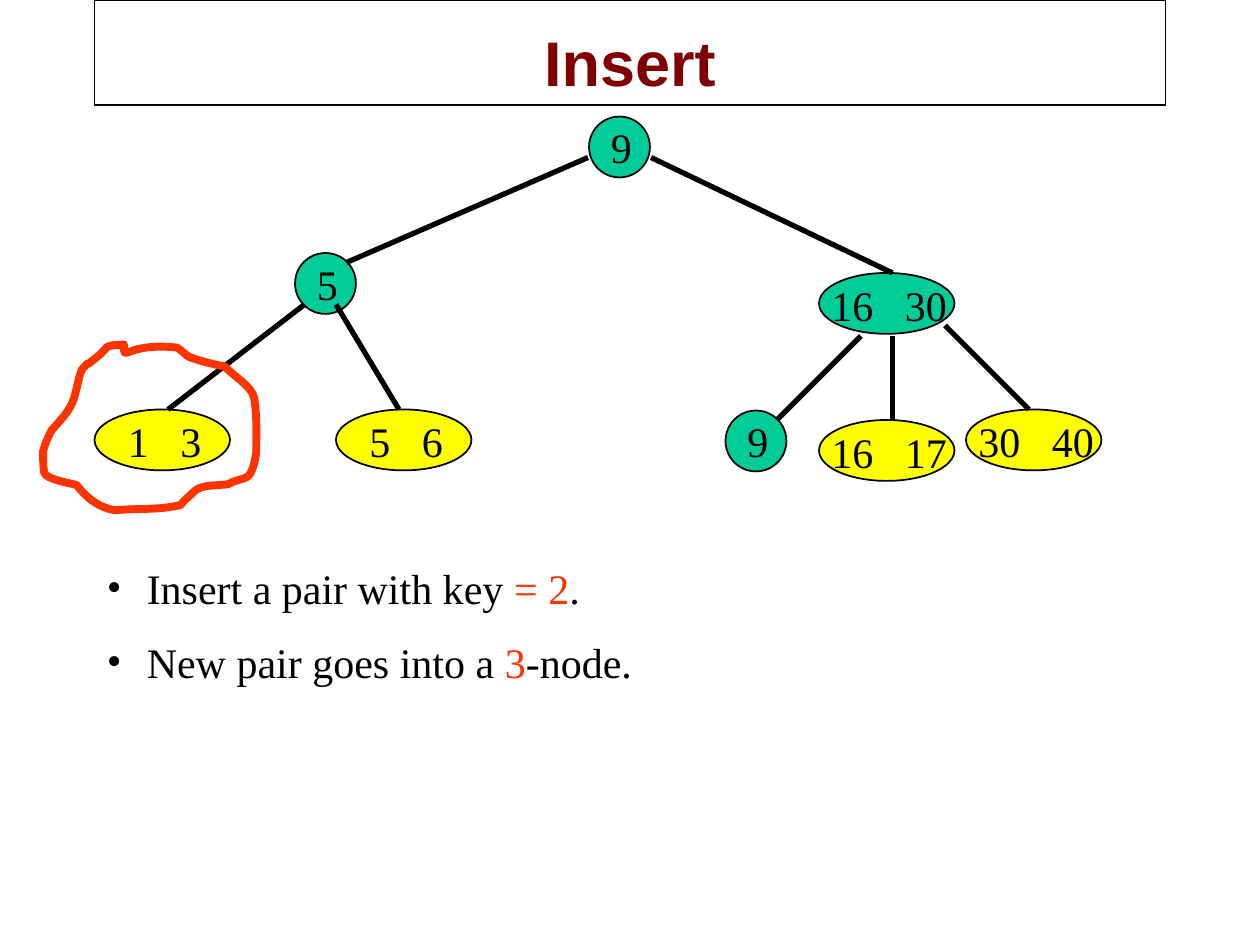
from dataclasses import dataclass

from lxml import etree
from pptx import Presentation
from pptx.dml.color import RGBColor
from pptx.enum.shapes import MSO_CONNECTOR, MSO_SHAPE
from pptx.enum.text import MSO_ANCHOR, PP_ALIGN
from pptx.oxml.ns import qn
from pptx.util import Emu, Pt

RECT, OVAL = MSO_SHAPE.RECTANGLE, MSO_SHAPE.OVAL
STRAIGHT = MSO_CONNECTOR.STRAIGHT
BOTTOM, TOP, CENTER = MSO_ANCHOR.BOTTOM, MSO_ANCHOR.TOP, PP_ALIGN.CENTER
PX = 7620  # EMU per px, 120 px to the inch


@dataclass(frozen=True)
class Theme:
    black: str = "000000"
    title: str = "800000"
    accent: str = "FF3300"
    green: str = "00CC99"
    yellow: str = "FFFF00"
    title_font: str = "Arial"
    body_font: str = "Times New Roman"
    title_size: int = 36
    body_size: int = 24


@dataclass(frozen=True)
class Node:
    x: int
    y: int
    keys: tuple[str, ...]
    fill: str


@dataclass(frozen=True)
class Edge:
    x1: int
    y1: int
    x2: int
    y2: int


T = Theme()
NODE_H = 58
NODE_W = {1: 58, 2: 129}  # by number of keys
LABEL_BOX = {1: (9, -1, 50), 2: (20, 0, 100), 4: (0, 0, 180)}  # dx, dy, width by digits

NODES = [
    Node(561, 111, ("9",), T.green),
    Node(281, 241, ("5",), T.green),
    Node(780, 260, ("16", "30"), T.green),
    Node(90, 390, ("1", "3"), T.yellow),
    Node(320, 390, ("5", "6"), T.yellow),
    Node(691, 391, ("9",), T.green),
    Node(780, 400, ("16", "17"), T.yellow),
    Node(920, 390, ("30", "40"), T.yellow),
]
EDGES = [
    Edge(560, 150, 330, 250), Edge(620, 150, 850, 260),
    Edge(290, 290, 160, 390), Edge(320, 290, 380, 390),
    Edge(820, 320, 740, 400), Edge(850, 320, 850, 400),
    Edge(900, 310, 980, 390),
]
BULLETS = [
    [("Insert a pair with key ", T.black), ("= 2", T.accent), (".", T.black)],
    [("New pair goes into a ", T.black), ("3", T.accent), ("-node.", T.black)],
]
# Hand-drawn loop: start, then two control points and an end per curve
LOOP_START = (118, 328)
LOOP = [
    ((113, 329), (108, 328), (103, 330)), ((101, 331), (98, 335), (96, 337)),
    ((71, 358), (92, 337), (78, 352)), ((73, 364), (73, 378), (66, 389)),
    ((62, 396), (55, 403), (49, 410)), ((46, 416), (43, 422), (41, 430)),
    ((41, 436), (41, 443), (42, 450)), ((44, 457), (67, 460), (73, 462)),
    ((83, 475), (95, 484), (110, 486)), ((131, 484), (152, 486), (172, 481)),
    ((176, 476), (180, 473), (185, 468)), ((192, 461), (208, 463), (218, 461)),
    ((223, 457), (232, 457), (236, 454)), ((242, 449), (244, 431), (244, 431)),
    ((244, 414), (245, 396), (242, 379)), ((240, 368), (222, 358), (214, 349)),
    ((203, 347), (191, 344), (180, 340)), ((179, 340), (170, 331), (168, 331)),
    ((118, 326), (118, 347), (118, 328)),
]


def px(*values: int) -> list[Emu]:
    return [Emu(v * PX) for v in values]


def rgb(color: str) -> RGBColor:
    return RGBColor.from_string(color)


def style_shape(sp, fill: str | None, line: str, width: float) -> None:
    sp.shadow.inherit = False
    if fill:
        sp.fill.solid()
        sp.fill.fore_color.rgb = rgb(fill)
    else:
        sp.fill.background()
    sp.line.color.rgb = rgb(line)
    sp.line.width = Pt(width)


def add_run(p, text: str, color: str, size: int = T.body_size,
            font: str = T.body_font, bold: bool = False) -> None:
    r = p.add_run()
    r.text = text
    r.font.name, r.font.size, r.font.bold = font, Pt(size), bold
    r.font.color.rgb = rgb(color)


def add_text_frame(s, x: int, y: int, w: int, h: int):
    tf = s.shapes.add_textbox(*px(x, y, w, h)).text_frame
    tf.word_wrap = True
    tf.vertical_anchor = TOP
    return tf


def add_title(s, text: str) -> None:
    sp = s.shapes.add_shape(RECT, *px(90, 0, 1020, 100))
    style_shape(sp, None, T.black, 0.75)
    tf = sp.text_frame
    tf.vertical_anchor = BOTTOM
    p = tf.paragraphs[0]
    p.alignment = CENTER
    add_run(p, text, T.title, T.title_size, T.title_font, True)


def add_node(s, node: Node) -> None:
    sp = s.shapes.add_shape(OVAL, *px(node.x, node.y, NODE_W[len(node.keys)], NODE_H))
    style_shape(sp, node.fill, T.black, 1)


def add_label(s, node: Node) -> None:
    dx, dy, width = LABEL_BOX[len("".join(node.keys))]
    p = add_text_frame(s, node.x + dx, node.y + dy, width, 60).paragraphs[0]
    if len(node.keys) > 1:  # tab stop: digits of the first key plus a fixed gap
        tabs = etree.SubElement(p._p.get_or_add_pPr(), qn("a:tabLst"))
        stop = px(20 * len(node.keys[0]) + 30)[0]
        etree.SubElement(tabs, qn("a:tab"), pos=str(stop), algn="l")
    add_run(p, "\t".join(node.keys), T.black)


def add_edge(s, edge: Edge) -> None:
    line = s.shapes.add_connector(STRAIGHT, *px(edge.x1, edge.y1, edge.x2, edge.y2))
    line.line.color.rgb = rgb(T.black)
    line.line.width = Pt(3)
    etree.SubElement(line._element.spPr, qn("a:effectLst"))


def add_bullets(s) -> None:
    tf = add_text_frame(s, 90, 530, 800, 132)
    for i, runs in enumerate(BULLETS):
        p = tf.paragraphs[0] if i == 0 else tf.add_paragraph()
        pPr = p._p.get_or_add_pPr()
        indent = px(38)[0]
        pPr.set("marL", str(indent))
        pPr.set("indent", str(-indent))
        if i:
            p.space_before = Pt(13.5)
        color = etree.SubElement(pPr, qn("a:buClr"))
        etree.SubElement(color, qn("a:srgbClr"), val=T.black)
        etree.SubElement(pPr, qn("a:buFont"), typeface=T.body_font)
        etree.SubElement(pPr, qn("a:buChar"), char="•")
        for text, run_color in runs:
            add_run(p, text, run_color)


def add_loop(s) -> None:
    ends = [LOOP_START] + [curve[-1] for curve in LOOP]
    left, top = (min(axis) for axis in zip(*ends))
    builder = s.shapes.build_freeform(*LOOP_START, scale=PX)
    builder.add_line_segments(ends[1:], close=True)
    sp = builder.convert_to_shape()
    # Turn each straight segment into its cubic curve
    for segment, curve in zip(list(sp._element.iter(qn("a:lnTo"))), LOOP):
        segment.clear()
        bezier = etree.Element(qn("a:cubicBezTo"))
        for x, y in curve:
            etree.SubElement(bezier, qn("a:pt"), x=str(x - left), y=str(y - top))
        segment.getparent().replace(segment, bezier)
    style_shape(sp, None, T.accent, 4.5)


def main() -> None:
    prs = Presentation()
    prs.slide_width, prs.slide_height = px(1200, 900)
    s = prs.slides.add_slide(prs.slide_layouts[6])
    add_title(s, "Insert")
    # Tree: nodes, then edges, then keys on top
    for node in NODES:
        add_node(s, node)
    for edge in EDGES:
        add_edge(s, edge)
    for node in NODES:
        add_label(s, node)
    # Explanation and marked leaf
    add_bullets(s)
    add_loop(s)
    prs.save("out.pptx")


if __name__ == "__main__":
    main()
